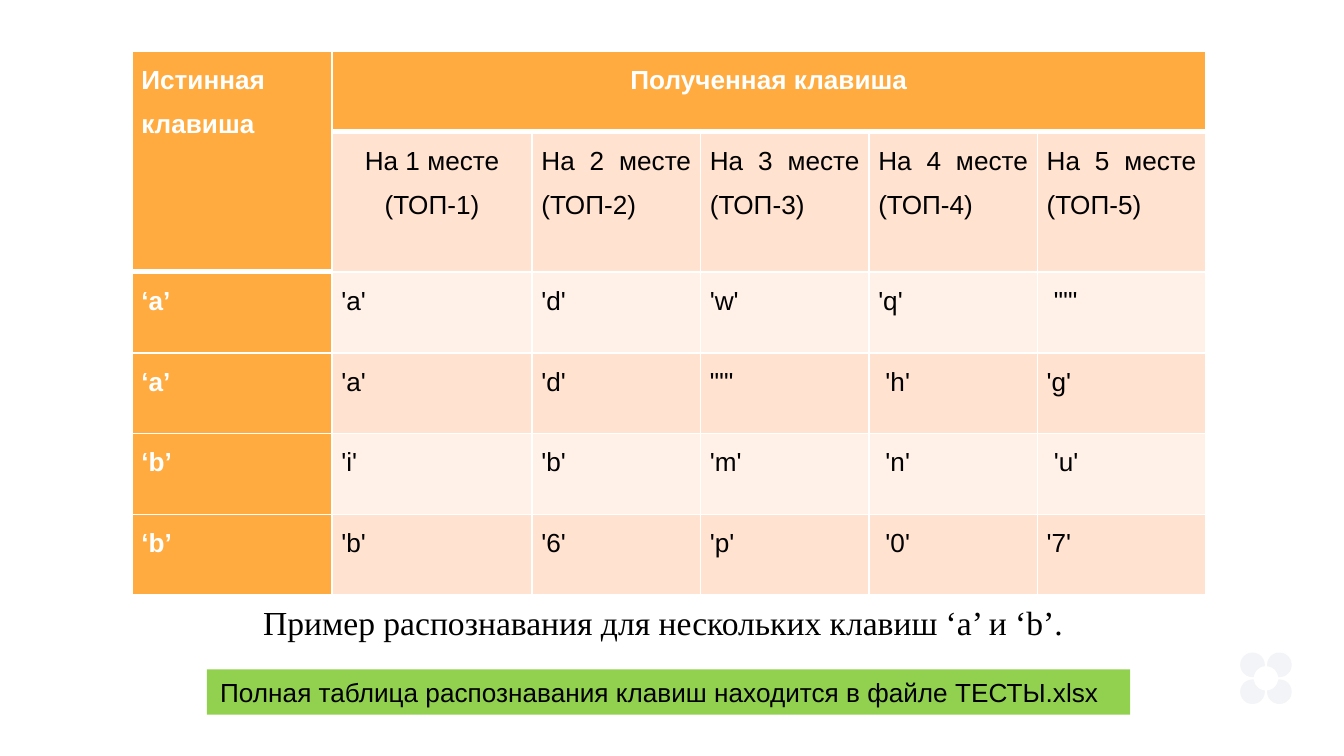
"""Build the slide with the key recognition table."""
from dataclasses import dataclass

from lxml import etree
from pptx import Presentation
from pptx.dml.color import RGBColor
from pptx.enum.shapes import MSO_SHAPE
from pptx.enum.text import MSO_ANCHOR, PP_ALIGN
from pptx.oxml.ns import qn
from pptx.slide import Slide
from pptx.table import Table, _Cell
from pptx.text.text import TextFrame
from pptx.util import Pt

RECTANGLE, OVAL = MSO_SHAPE.RECTANGLE, MSO_SHAPE.OVAL
LEFT, CENTER, JUSTIFY = PP_ALIGN.LEFT, PP_ALIGN.CENTER, PP_ALIGN.JUSTIFY
TOP, MIDDLE = MSO_ANCHOR.TOP, MSO_ANCHOR.MIDDLE

WHITE = RGBColor(0xFF, 0xFF, 0xFF)
BLACK = RGBColor(0x00, 0x00, 0x00)
ORANGE = RGBColor(0xFF, 0xAB, 0x40)
PEACH = RGBColor(0xFF, 0xE2, 0xCF)
CREAM = RGBColor(0xFF, 0xF1, 0xE8)
GREEN = RGBColor(0x92, 0xD0, 0x50)
PALE_GRAY = RGBColor(0xF3, 0xF4, 0xF7)

COLUMN_WIDTHS = [107.2, 107.2] + [90.25] * 4
ROW_HEIGHTS = [43.3, 75] + [43.3] * 4
ROWS = [
    ["Истинная\nклавиша", "Полученная клавиша", "", "", "", ""],
    [""] + [f"На {place} месте (ТОП-{place})" for place in range(1, 6)],
    ["‘a’", "'a'", "'d'", "'w'", "'q'", " \"'\""],
    ["‘a’", "'a'", "'d'", "\"'\"", " 'h'", "'g'"],
    ["‘b’", "'i'", "'b'", "'m'", " 'n'", " 'u'"],
    ["‘b’", "'b'", "'6'", "'p'", " '0'", "'7'"],
]
CENTERED_CELLS = {(0, 1), (1, 1)}


@dataclass(frozen=True)
class Area:
    left: float
    top: float
    width: float
    height: float

    def lengths(self) -> tuple[Pt, Pt, Pt, Pt]:
        """Return the position and size as lengths."""
        return Pt(self.left), Pt(self.top), Pt(self.width), Pt(self.height)


TABLE_AREA = Area(70.7, 27.4, sum(COLUMN_WIDTHS), sum(ROW_HEIGHTS))
CAPTION_AREA = Area(133.9, 319, 462.2, 28.8)
NOTE_AREA = Area(110.9, 358.6, 494.6, 24.3)
FLOWER_CENTER = (678.2, 363.4)
FLOWER_OFFSET = 7.2
PETAL_DIAMETER = 13.2
CORE_DIAMETER = 13


def write_text(frame: TextFrame, text: str, *, size: float = 14, font: str = "Arial",
               color: RGBColor = BLACK, bold: bool = False, align: PP_ALIGN = LEFT,
               spacing: float = 1.0) -> None:
    """Fill a text frame with one paragraph per line of text."""
    frame.word_wrap = True
    for index, line in enumerate(text.split("\n")):
        para = frame.paragraphs[0] if index == 0 else frame.add_paragraph()
        para.alignment = align
        para.line_spacing = spacing
        span = para.add_run()
        span.text = line
        span.font.size = Pt(size)
        span.font.name = font
        span.font.bold = bold
        span.font.color.rgb = color


def add_plain_shape(page: Slide, kind: MSO_SHAPE, area: Area, color: RGBColor):
    """Add a filled shape without outline or shadow."""
    shape = page.shapes.add_shape(kind, *area.lengths())
    shape.shadow.inherit = False
    shape.fill.solid()
    shape.fill.fore_color.rgb = color
    shape.line.fill.background()
    return shape


def add_circle(page: Slide, x: float, y: float, diameter: float, color: RGBColor) -> None:
    """Add a circle around a centre point."""
    radius = diameter / 2
    add_plain_shape(page, OVAL, Area(x - radius, y - radius, diameter, diameter), color)


def add_flower(page: Slide) -> None:
    """Draw the four-petal corner ornament."""
    x, y = FLOWER_CENTER
    for across in (-FLOWER_OFFSET, FLOWER_OFFSET):
        for down in (-FLOWER_OFFSET, FLOWER_OFFSET):
            add_circle(page, x + across, y + down, PETAL_DIAMETER, PALE_GRAY)
    add_circle(page, x, y, CORE_DIAMETER, WHITE)


def set_borders(cell: _Cell, top: float, bottom: float) -> None:
    """Give a cell white borders of the given widths."""
    properties = cell._tc.get_or_add_tcPr()
    for side, width in (("L", 1), ("R", 1), ("T", top), ("B", bottom)):
        line = etree.SubElement(properties, qn(f"a:ln{side}"), w=str(int(Pt(width))))
        fill = etree.SubElement(line, qn("a:solidFill"))
        etree.SubElement(fill, qn("a:srgbClr"), val=str(WHITE))


def border_below(row: int, column: int) -> float:
    """Return the width of the line under a cell."""
    return 3 if row == 0 or (row, column) == (1, 0) else 1


def format_cell(table: Table, row: int, column: int) -> None:
    """Fill, frame and label one table cell."""
    cell = table.cell(row, column)
    is_header = row == 0 or column == 0
    top = border_below(row - 1, column) if row else 1
    set_borders(cell, top, border_below(row, column))
    cell.margin_left = cell.margin_right = Pt(5)
    cell.margin_top = cell.margin_bottom = 0
    cell.vertical_anchor = TOP
    cell.fill.solid()
    cell.fill.fore_color.rgb = ORANGE if is_header else PEACH if row % 2 else CREAM
    if ROWS[row][column]:
        write_text(cell.text_frame, ROWS[row][column], bold=is_header,
                   color=WHITE if is_header else BLACK, spacing=1.5,
                   align=CENTER if (row, column) in CENTERED_CELLS else JUSTIFY)


def add_key_table(page: Slide) -> None:
    """Add the table of true and recognised keys."""
    table = page.shapes.add_table(len(ROWS), len(COLUMN_WIDTHS), *TABLE_AREA.lengths()).table
    table.first_row = table.horz_banding = False
    for column, width in zip(table.columns, COLUMN_WIDTHS):
        column.width = Pt(width)
    for row, height in zip(table.rows, ROW_HEIGHTS):
        row.height = Pt(height)
    table.cell(0, 0).merge(table.cell(1, 0))
    table.cell(0, 1).merge(table.cell(0, 5))
    for row in range(len(ROWS)):
        for column in range(len(COLUMN_WIDTHS)):
            format_cell(table, row, column)


def main() -> None:
    """Build and save the deck."""
    deck = Presentation()
    deck.slide_width, deck.slide_height = Pt(720), Pt(405)
    page = deck.slides.add_slide(deck.slide_layouts[6])
    add_flower(page)
    add_key_table(page)
    caption = page.shapes.add_textbox(*CAPTION_AREA.lengths())
    write_text(caption.text_frame, "Пример распознавания для нескольких клавиш ‘a’ и ‘b’.",
               size=18, font="Times New Roman")
    note = add_plain_shape(page, RECTANGLE, NOTE_AREA, GREEN)
    note.text_frame.vertical_anchor = MIDDLE
    write_text(note.text_frame,
               "Полная таблица распознавания клавиш находится в файле ТЕСТЫ.xlsx")
    deck.save("out.pptx")


if __name__ == "__main__":
    main()
